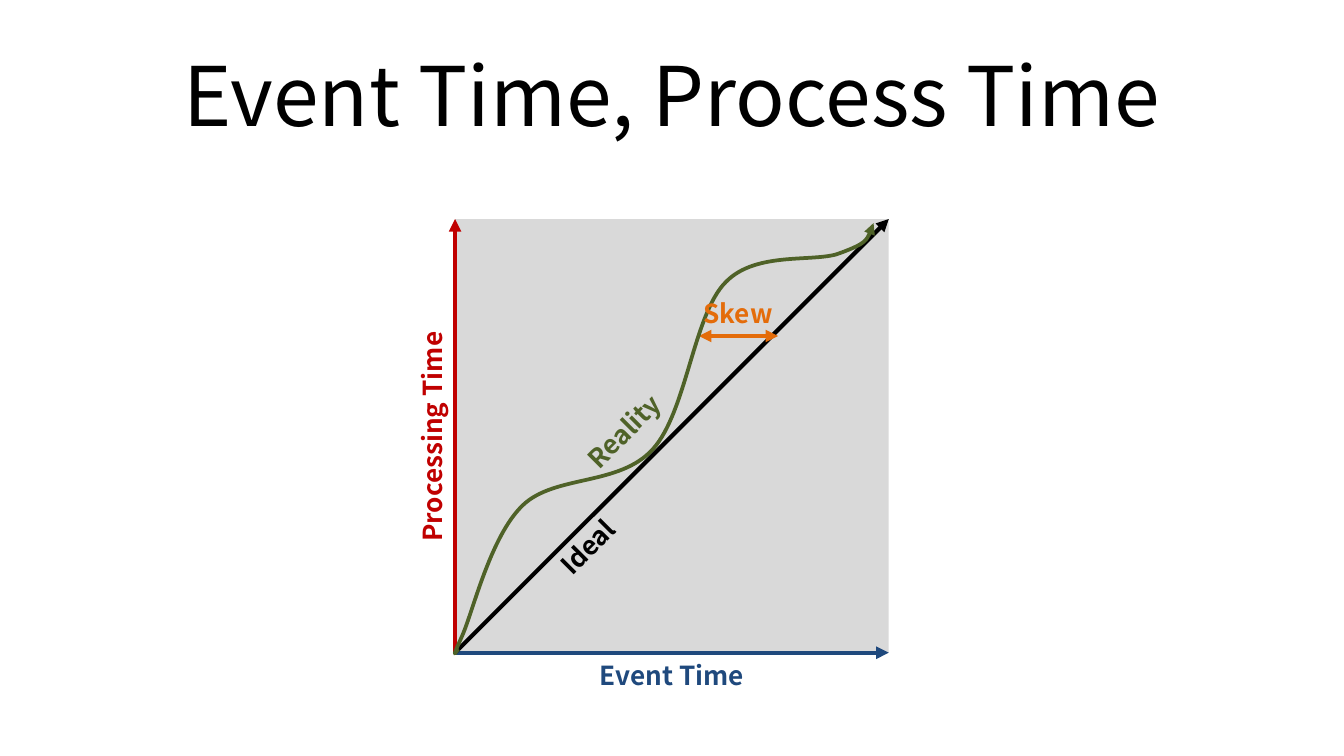
import dataclasses
import itertools
import typing

import lxml.etree
import pptx
import pptx.dml.color
import pptx.enum.shapes
import pptx.enum.text
import pptx.oxml.ns
import pptx.util

FONT = "Noto Sans CJK KR"
BLACK, BLUE, RED = "000000", "1F497D", "C00000"
GREEN, ORANGE, GRAY = "4F6228", "E46C0A", "D9D9D9"
COLUMNS = 100
SLIDE_WIDTH = pptx.util.Inches(10)
SLIDE_HEIGHT = pptx.util.Emu(SLIDE_WIDTH * 9 // 16)
LEFT, TOP, SIDE = 33.86, 16.3, 32.27
RIGHT, BOTTOM = LEFT + SIDE, TOP + SIDE
LABEL_HEIGHT = 3.4

Point = tuple[float, float]


@dataclasses.dataclass
class Arrow:
    start: Point
    end: Point
    color: str
    double: bool = False


@dataclasses.dataclass
class Label:
    text: str
    left: float
    top: float
    color: str
    width: float = SIDE
    rotation: float = 0


ARROWS = [
    Arrow((LEFT, BOTTOM), (RIGHT, BOTTOM), BLUE),
    Arrow((LEFT, BOTTOM), (LEFT, TOP), RED),
    Arrow((LEFT, BOTTOM), (RIGHT, TOP), BLACK),
    Arrow((52, 25), (57.9, 25), ORANGE, double=True),
]
LABELS = [
    Label("Event Time", LEFT, BOTTOM, BLUE),
    Label("Processing Time", 16.04, 30.8, RED, rotation=270),
    Label("Ideal", 27.6, 39, BLACK, rotation=315),
    Label("Reality", 30.3, 30.4, GREEN, rotation=315),
    Label("Skew", 48.02, 21.64, ORANGE, width=13.8),
]
REALITY_START = (34.1, 48.3)
REALITY_CURVES = [
    [(33.8, 48.7), (33.6, 49.1), (34.4, 47.3)],
    [(35.2, 45.5), (36.5, 39.9), (38.9, 37.6)],
    [(41.3, 35.3), (46.1, 36.2), (48.6, 33.4)],
    [(51.1, 30.6), (51.6, 23.4), (54, 21)],
    [(56.3, 18.6), (60.8, 19.6), (62.6, 18.8)],
    [(64.5, 18.1), (64.8, 17.4), (65, 16.6)],
]


def grid(*cells: float) -> list[pptx.util.Emu]:
    return [pptx.util.Emu(round(cell * SLIDE_WIDTH / COLUMNS)) for cell in cells]


def rgb(color: str) -> pptx.dml.color.RGBColor:
    return pptx.dml.color.RGBColor.from_string(color)


def write(shape: typing.Any, text: str, size: float, color: str, bold: bool = False) -> None:
    para = shape.text_frame.paragraphs[0]
    para.alignment = pptx.enum.text.PP_ALIGN.CENTER
    span = para.add_run()
    span.text = text
    span.font.name = FONT
    span.font.size = pptx.util.Pt(size)
    span.font.bold = bold
    span.font.color.rgb = rgb(color)


def style_line(shape: typing.Any, color: str, width: float, ends: list[str]) -> None:
    shape.line.color.rgb = rgb(color)
    shape.line.width = pptx.util.Pt(width)
    outline = shape._element.spPr.find(pptx.oxml.ns.qn("a:ln"))
    for end in ends:
        lxml.etree.SubElement(outline, pptx.oxml.ns.qn(f"a:{end}"), type="triangle")


def draw_arrow(page: typing.Any, arrow: Arrow) -> None:
    line = page.shapes.add_connector(
        pptx.enum.shapes.MSO_CONNECTOR.STRAIGHT, *grid(*arrow.start, *arrow.end)
    )
    style_line(line, arrow.color, 2.25, ["headEnd", "tailEnd"] if arrow.double else ["tailEnd"])
    lxml.etree.SubElement(line._element.spPr, pptx.oxml.ns.qn("a:effectLst"))


def draw_label(page: typing.Any, label: Label) -> None:
    box = page.shapes.add_textbox(*grid(label.left, label.top, label.width, LABEL_HEIGHT))
    box.rotation = label.rotation
    box.text_frame.word_wrap = True
    box.text_frame.auto_size = pptx.enum.text.MSO_AUTO_SIZE.SHAPE_TO_FIT_TEXT
    write(box, label.text, 14, label.color, bold=True)


def draw_curve(page: typing.Any, start: Point, curves: list[list[Point]], color: str) -> None:
    builder = page.shapes.build_freeform(*grid(*start))
    builder.add_line_segments(
        [grid(*point) for point in itertools.chain.from_iterable(curves)], close=False
    )
    shape = builder.convert_to_shape()
    segments = list(shape._element.iter(pptx.oxml.ns.qn("a:lnTo")))
    outline = segments[0].getparent()
    for first in range(0, len(segments), 3):
        bezier = lxml.etree.SubElement(outline, pptx.oxml.ns.qn("a:cubicBezTo"))
        for segment in segments[first:first + 3]:
            bezier.append(segment[0])
            outline.remove(segment)
    shape.fill.background()
    shape.shadow.inherit = False
    style_line(shape, color, 2, ["tailEnd"])


def draw_plot_area(page: typing.Any) -> None:
    area = page.shapes.add_shape(
        pptx.enum.shapes.MSO_SHAPE.RECTANGLE, *grid(LEFT, TOP, SIDE, SIDE)
    )
    area.fill.solid()
    area.fill.fore_color.rgb = rgb(GRAY)
    area.line.fill.background()
    area.shadow.inherit = False


def main() -> None:
    deck = pptx.Presentation()
    deck.slide_width, deck.slide_height = SLIDE_WIDTH, SLIDE_HEIGHT
    page = deck.slides.add_slide(deck.slide_layouts.get_by_name("Title Only"))
    title = page.shapes.title
    title.left, title.top, title.width, title.height = grid(5, 2.3, 90, 9.4)
    title.text_frame.vertical_anchor = pptx.enum.text.MSO_ANCHOR.MIDDLE
    write(title, "Event Time, Process Time", 44, BLACK)
    draw_plot_area(page)
    for arrow in ARROWS:
        draw_arrow(page, arrow)
    draw_curve(page, REALITY_START, REALITY_CURVES, GREEN)
    for label in LABELS:
        draw_label(page, label)
    deck.save("out.pptx")


if __name__ == "__main__":
    main()
